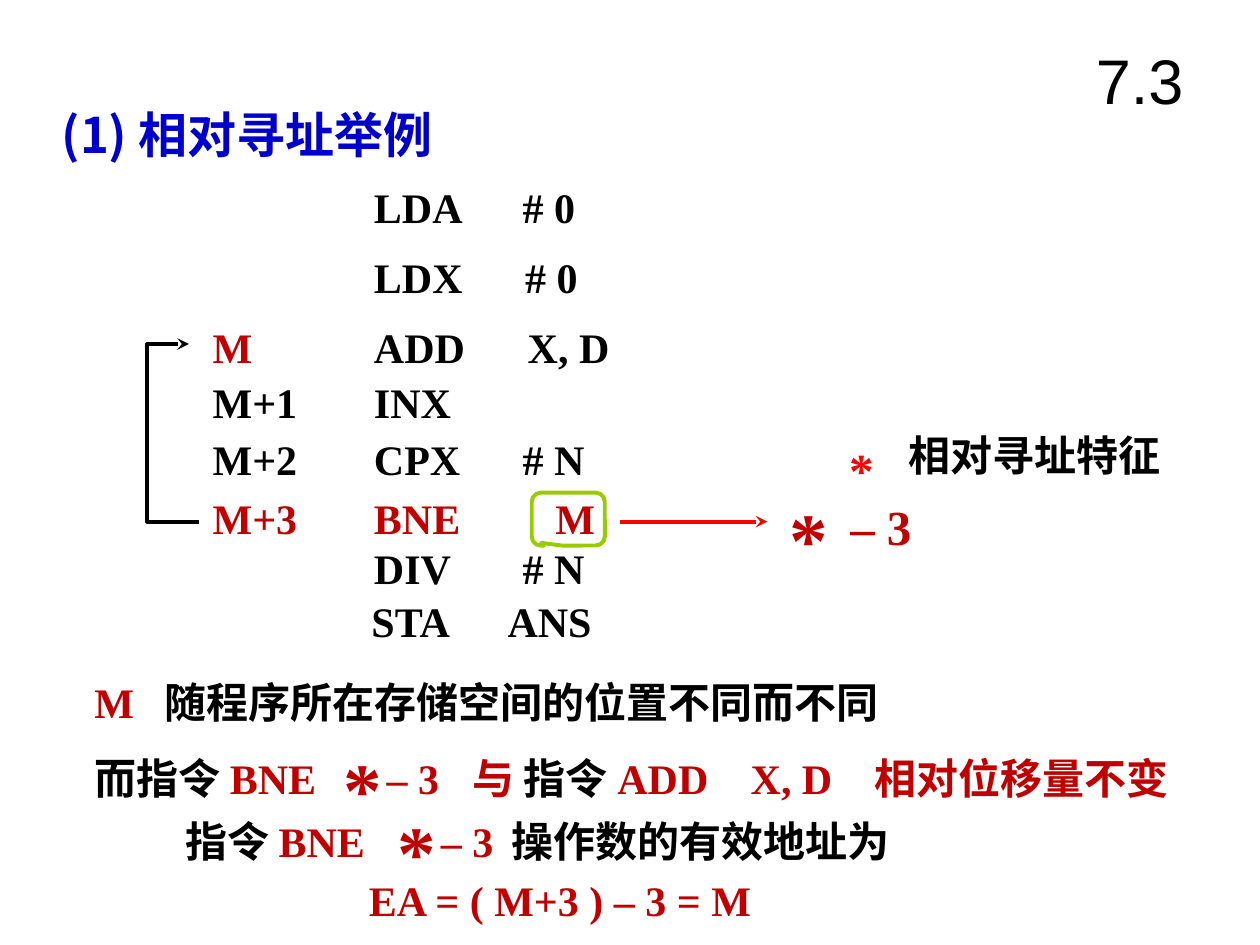
"""Build the slide on an example of relative addressing."""
from typing import NamedTuple

import pptx
import pptx.dml.color
import pptx.enum.shapes
import pptx.enum.text
import pptx.oxml
import pptx.oxml.ns
import pptx.util
from lxml import etree

Inches = pptx.util.Inches
BLACK, RED, PURE, BLUE, GREEN = "000000", "C00000", "FF0000", "0000CC", "99CC00"
SERIF, HAN = "Times New Roman", "Noto Sans CJK SC"


class Row(NamedTuple):
    top: float
    label: str
    code: str
    arg: str
    color: str = BLACK
    stop: float = 1.2
    left: float = 2.87


class Jump(NamedTuple):
    left: float
    top: float
    size: int = 24
    right: float = 0.34
    down: float = 0.09


class Note(NamedTuple):
    left: float
    top: float
    width: float
    runs: list
    stops: tuple = ()
    size: int = 24
    face: str = SERIF


ROWS = [
    Row(1.39, "", "LDA", "# 0", stop=1.18),
    Row(1.95, "", "LDX", "# 0"),
    Row(2.5, "M", "ADD", "X, D", stop=1.22),
    Row(2.94, "M+1", "INX", ""),
    Row(3.39, "M+2", "CPX", "# N", stop=1.18),
    Row(3.86, "M+3", "BNE", "M", RED, 1.44),
    Row(4.26, "", "DIV", "# N", stop=1.18),
    Row(4.68, "", "STA", "ANS", stop=1.08, left=2.85),
]
JUMPS = [Jump(6.17, 3.84, 28, 0.48, 0.05), Jump(2.63, 5.83), Jump(3.06, 6.33)]
NOTES = [
    Note(0.39, 0.78, 3.49, [("(1) 相对寻址举例", BLUE)], size=28, face=HAN),
    Note(0.65, 5.32, 9.3, [("M\t", RED), ("随程序所在存储空间的位置不同而不同", BLACK)], (0.56,)),
    Note(0.65, 5.92, 9.3, [("而指令 ", BLACK), ("BNE\t与 ", RED), ("指令 ", BLACK),
                           ("ADD\tX, D\t相对位移量不变", RED)], (3, 5.21, 6.19)),
    Note(1.37, 6.42, 1.71, [("指令 ", BLACK), ("BNE", RED)]),
    Note(3.96, 6.42, 3.2, [("操作数的有效地址为", BLACK)]),
    Note(2.83, 6.89, 3.25, [("EA = ( M+3 ) – 3 = M", RED)]),
    Note(7.11, 3.36, 2.42, [("相对寻址特征", BLACK)]),
    Note(6.64, 3.44, 1.08, [("*", PURE)], size=28),
]


def rgb(code: str) -> pptx.dml.color.RGBColor:
    return pptx.dml.color.RGBColor.from_string(code)


def add_run(par, text: str, *, size: int = 24, color: str = BLACK,
            bold: bool = True, face: str = SERIF) -> None:
    run = par.add_run()
    run.text = text
    font = run.font
    font.size, font.bold, font.name = pptx.util.Pt(size), bold, face
    font.color.rgb = rgb(color)
    east = etree.SubElement(run._r.get_or_add_rPr(), pptx.oxml.ns.qn("a:ea"))
    east.set("typeface", HAN)


def add_note(slide, note: Note) -> None:
    high = round(note.size / 60 + 0.1, 2)
    box = slide.shapes.add_textbox(
        *map(Inches, (note.left, note.top, note.width, high)))
    box.text_frame.word_wrap = True
    par = box.text_frame.paragraphs[0]
    if note.stops:
        tabs = etree.SubElement(par._p.get_or_add_pPr(), pptx.oxml.ns.qn("a:tabLst"))
        for stop in note.stops:
            tab = etree.SubElement(tabs, pptx.oxml.ns.qn("a:tab"))
            tab.set("pos", str(Inches(stop)))
            tab.set("algn", "l")
    for text, color in note.runs:
        add_run(par, text, size=note.size, color=color, face=note.face)


def add_row(slide, row: Row) -> None:
    if row.label:
        color = RED if row.label == "M" else row.color
        add_note(slide, Note(1.59, row.top, 0.87, [(row.label, color)]))
    text = f"{row.code}\t{row.arg}" if row.arg else row.code
    add_note(slide, Note(row.left, row.top, 2.1, [(text, row.color)], (row.stop,)))


def add_jump(slide, jump: Jump) -> None:
    add_note(slide, Note(jump.left + jump.right, jump.top + jump.down, 0.75,
                         [("– 3", RED)], size=jump.size))
    add_note(slide, Note(jump.left, jump.top, 0.75, [("*", RED)], size=44))


def set_line(shape, color: str, arrow: bool = False) -> None:
    shape.line.color.rgb = rgb(color)
    shape.line.width = pptx.util.Pt(2.25)
    if arrow:
        tail = etree.SubElement(shape.line._get_or_add_ln(), pptx.oxml.ns.qn("a:tailEnd"))
        tail.set("type", "stealth")


def add_marks(slide) -> None:
    shapes = slide.shapes
    kinds = pptx.enum.shapes
    arrow = shapes.add_connector(
        kinds.MSO_CONNECTOR.STRAIGHT, *map(Inches, (4.92, 4.14, 6.09, 4.14)))
    set_line(arrow, PURE, True)
    etree.SubElement(arrow._element.spPr, pptx.oxml.ns.qn("a:effectLst"))

    pen = shapes.build_freeform(Inches(1.58), Inches(4.14))
    points = [(1.17, 4.14), (1.17, 2.73), (1.5, 2.73)]
    pen.add_line_segments([(Inches(x), Inches(y)) for x, y in points], close=False)
    loop = pen.convert_to_shape()
    set_line(loop, BLACK, True)

    ring = shapes.add_shape(kinds.MSO_SHAPE.ROUNDED_RECTANGULAR_CALLOUT,
                            *map(Inches, (4.22, 3.91, 0.58, 0.42)))
    for i, value in enumerate((-0.37, 0.45, 0.17)):
        ring.adjustments[i] = value
    set_line(ring, GREEN)
    for shape in (loop, ring):
        shape.fill.background()
        shape.shadow.inherit = False


def set_title(slide) -> None:
    title = slide.shapes.title
    title.left, title.top, title.width, title.height = map(
        Inches, (8.42, 0.17, 1.25, 0.92))
    frame = title.text_frame
    frame.auto_size = pptx.enum.text.MSO_AUTO_SIZE.NONE
    frame.vertical_anchor = pptx.enum.text.MSO_ANCHOR.MIDDLE
    par = frame.paragraphs[0]
    par.alignment = pptx.enum.text.PP_ALIGN.CENTER
    add_run(par, "7.3", size=36, bold=False, face="Arial")


def main() -> None:
    deck = pptx.Presentation()
    deck.slide_width, deck.slide_height = Inches(10), Inches(7.5)
    slide = deck.slides.add_slide(deck.slide_layouts[5])
    set_title(slide)
    for row in ROWS:
        add_row(slide, row)
    for note in NOTES:
        add_note(slide, note)
    for jump in JUMPS:
        add_jump(slide, jump)
    add_marks(slide)
    deck.save("out.pptx")


if __name__ == "__main__":
    main()
